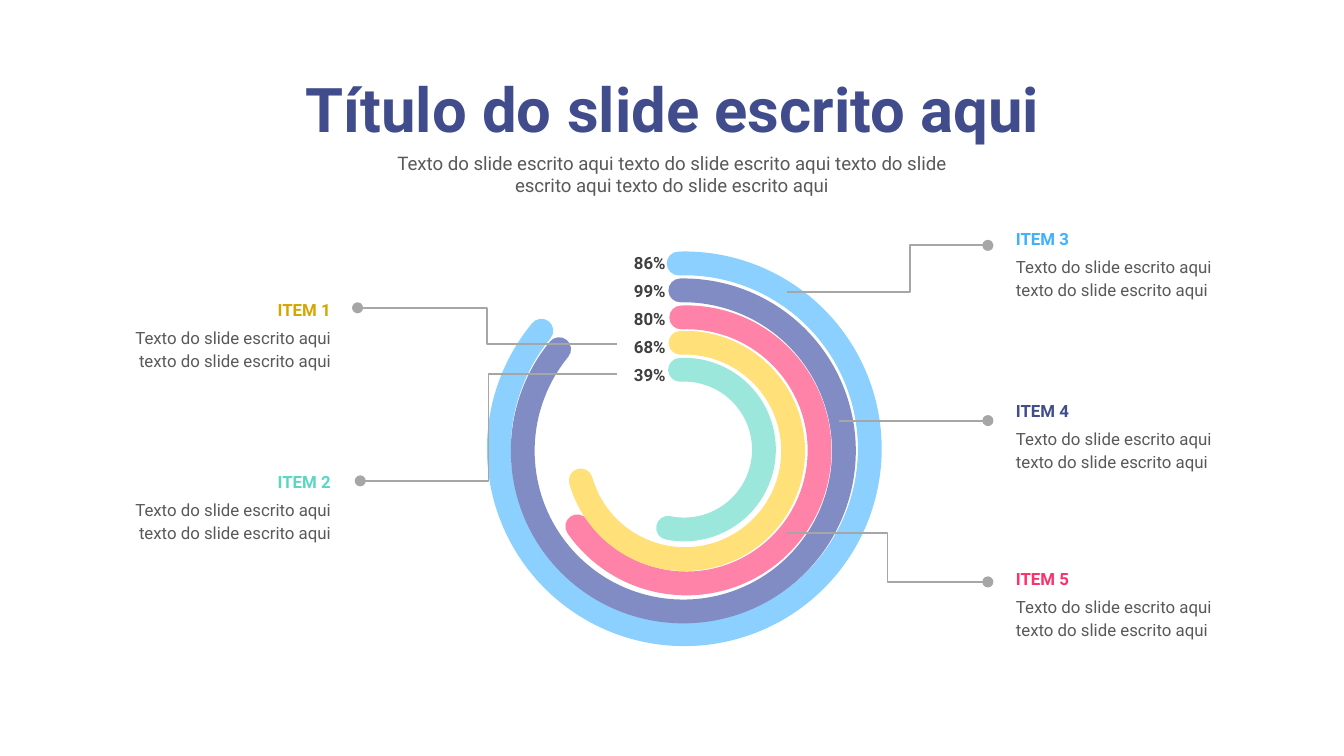
from lxml.etree import SubElement
from pptx import Presentation
from pptx.dml.color import RGBColor as Rgb
from pptx.enum.shapes import MSO_CONNECTOR as Link, MSO_SHAPE as Shape
from pptx.enum.text import MSO_AUTO_SIZE as Fit, PP_ALIGN as Align
from pptx.oxml.ns import qn
from pptx.util import Cm, Pt

INK = Rgb(0x40, 0x40, 0x40)
TEXT = Rgb(0x59, 0x59, 0x59)
GREY = Rgb(0xA6, 0xA6, 0xA6)
BLUE = Rgb(0x3D, 0xB1, 0xFE)
NAVY = Rgb(0x41, 0x4C, 0x8C)
PINK = Rgb(0xFF, 0x2F, 0x6E)
GOLD = Rgb(0xD6, 0xA6, 0x00)
MINT = Rgb(0x5A, 0xD7, 0xC4)
SKY = Rgb(0x8B, 0xD0, 0xFE)
LILAC = Rgb(0x82, 0x8C, 0xC4)
ROSE = Rgb(0xFF, 0x82, 0xA8)
LEMON = Rgb(0xFF, 0xE0, 0x79)
AQUA = Rgb(0x9C, 0xE7, 0xDC)

TITLE = "Título do slide escrito aqui"
INTRO = ("Texto do slide escrito aqui texto do slide escrito aqui "
         "texto do slide escrito aqui texto do slide escrito aqui")
BODY = "Texto do slide escrito aqui texto do slide escrito aqui"
RATES = ["86%", "99%", "80%", "68%", "39%"]

ITEMS = [
    ("ITEM 3", BLUE, 18.95, 4.14, Align.LEFT),
    ("ITEM 4", NAVY, 18.95, 7.39, Align.LEFT),
    ("ITEM 5", PINK, 18.95, 10.57, Align.LEFT),
    ("ITEM 1", GOLD, 1.57, 5.49, Align.RIGHT),
    ("ITEM 2", MINT, 1.57, 8.74, Align.RIGHT),
]

# left, top, size, start and end in degrees
ARCS = [
    (SKY, 9.43, 4.98, 7.01, 268.23, 219.57),
    (ROSE, 10.46, 6.0, 5.03, 267.73, 145.19),
    (LEMON, 10.9, 6.48, 4.09, 267.68, 164.2),
    (AQUA, 11.42, 6.99, 3.02, 267.07, 101.55),
    (LILAC, 9.88, 5.49, 6.07, 268.93, 219.35),
]

LEADS = [
    (14.88, 5.52, 18.67, 4.64, 61100),
    (14.88, 10.08, 18.67, 11.0, 50000),
    (15.85, 7.95, 18.67, 7.95, None),
    (11.66, 6.5, 6.76, 5.82, 50000),
    (11.66, 7.07, 6.81, 9.09, 50000),
]

deck = Presentation()
deck.slide_width, deck.slide_height = Cm(25.4), Cm(14.29)
slide = deck.slides.add_slide(deck.slide_layouts[6])
shapes = slide.shapes


def write(text, x, y, w, h, size, tint, align, bold=False, gap=None):
    box = shapes.add_textbox(Cm(x), Cm(y), Cm(w), Cm(h))
    frame = box.text_frame
    frame.word_wrap = True
    frame.auto_size = Fit.SHAPE_TO_FIT_TEXT
    para = frame.paragraphs[0]
    para.alignment = align
    if gap:
        para.line_spacing = gap
    run = para.add_run()
    run.text = text
    font = run.font
    font.name, font.size, font.bold = "Roboto", Pt(size), bold
    font.color.rgb = tint


def draw_arc(tint, x, y, size, start, end):
    arc = shapes.add_shape(Shape.ARC, Cm(x), Cm(y), Cm(size), Cm(size))
    arc.shadow.inherit = False
    arc.fill.background()
    arc.adjustments[0] = start * 0.6
    arc.adjustments[1] = end * 0.6
    arc.line.color.rgb = tint
    arc.line.width = Pt(12.75)
    arc.line._get_or_add_ln().set("cap", "rnd")


def draw_lead(x1, y1, x2, y2, bend):
    kind = Link.ELBOW if bend else Link.STRAIGHT
    lead = shapes.add_connector(kind, Cm(x1), Cm(y1), Cm(x2), Cm(y2))
    lead.line.color.rgb = GREY
    lead.line.width = Pt(1)
    SubElement(lead.line._get_or_add_ln(), qn("a:tailEnd"), type="oval")
    props = lead._element.spPr
    SubElement(props, qn("a:effectLst"))
    if bend:
        guides = props.find(qn("a:prstGeom")).get_or_add_avLst()
        SubElement(guides, qn("a:gd"), name="adj1", fmla=f"val {bend}")


for i, rate in enumerate(RATES):
    write(rate, 11.66, 4.65 + 0.53 * i, 1.17, 0.64, 9, INK, Align.RIGHT, True)

for name, tint, x, y, align in ITEMS:
    write(name, x, y, 4.93, 0.69, 9, tint, align, True, 1.14)
    write(BODY, x, y + 0.53, 4.93, 1.14, 9, TEXT, align, gap=1.14)

for arc in ARCS:
    draw_arc(*arc)

for lead in LEADS:
    draw_lead(*lead)

write(INTRO, 6.88, 2.74, 11.63, 1.12, 10, TEXT, Align.CENTER)
write(TITLE, 2.21, 1.22, 21.01, 1.68, 33, NAVY, Align.CENTER, True)

deck.save("out.pptx")
